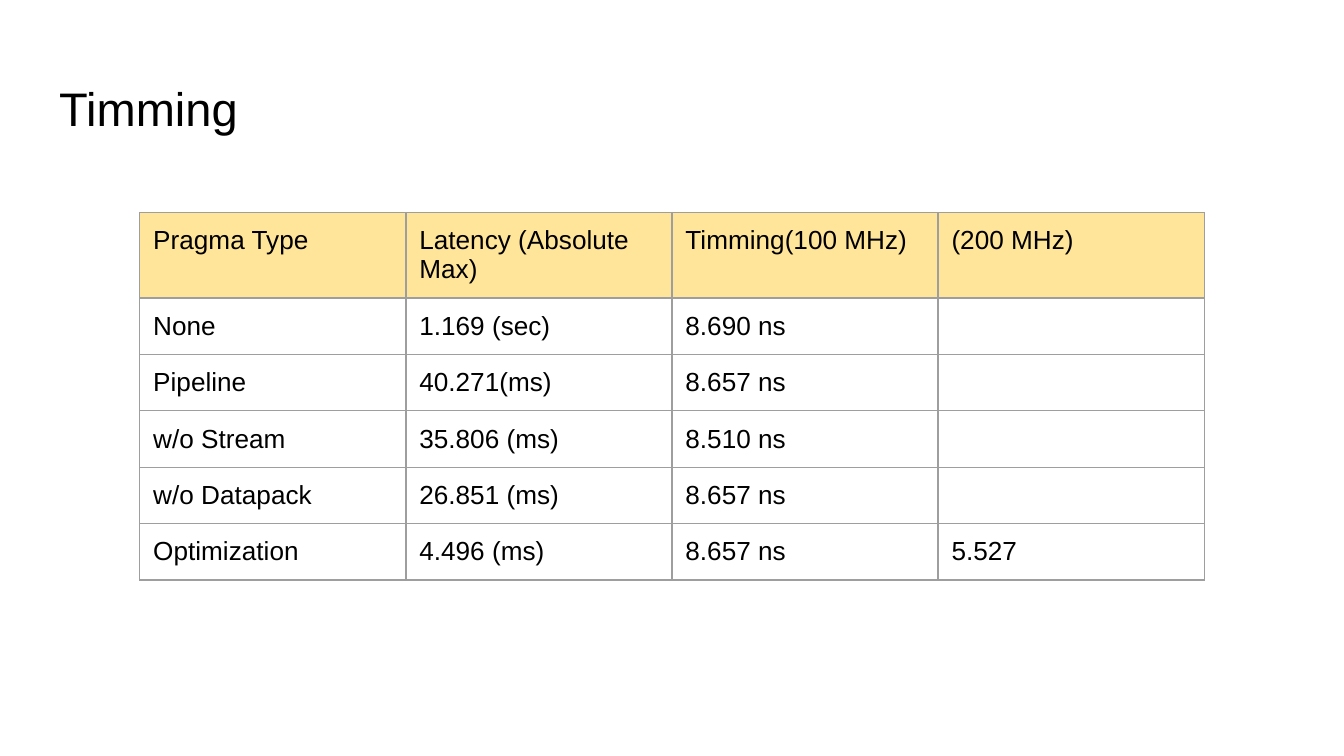
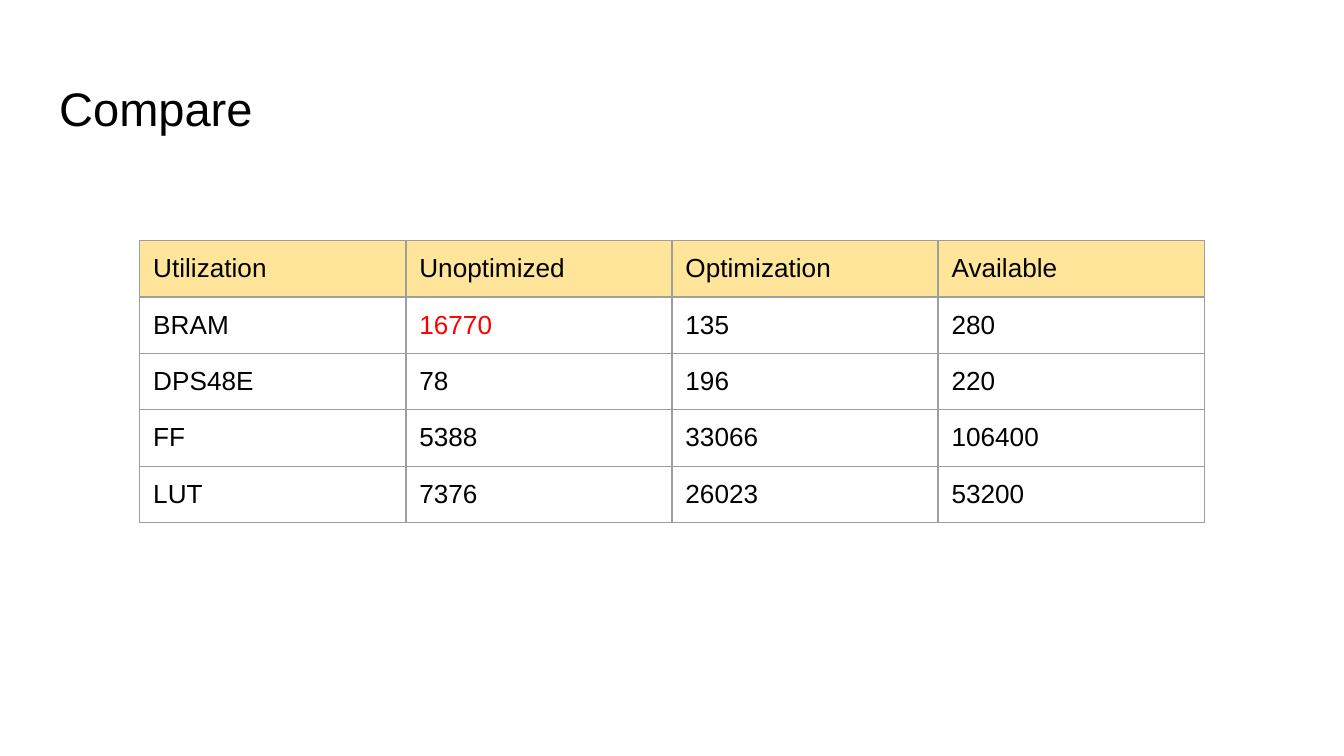
from lxml import etree
from pptx import Presentation
from pptx.dml.color import RGBColor
from pptx.enum.text import MSO_ANCHOR, MSO_AUTO_SIZE, PP_ALIGN
from pptx.oxml.ns import qn
from pptx.util import Inches, Pt

TOP, LEFT, NO_FIT = MSO_ANCHOR.TOP, PP_ALIGN.LEFT, MSO_AUTO_SIZE.NONE
BLACK = RGBColor(0x00, 0x00, 0x00)
RED = RGBColor(0xFF, 0x00, 0x00)
WHITE = RGBColor(0xFF, 0xFF, 0xFF)
HEADER_FILL = RGBColor(0xFF, 0xE5, 0x99)
GRID = RGBColor(0x9E, 0x9E, 0x9E)

SLIDE_WIDTH = Inches(10)
SLIDE_HEIGHT = SLIDE_WIDTH * 9 // 16
TITLE_ONLY = 5
TITLE_BOX = (0.34, 0.49, 9.32, 0.63)
ROW_HEIGHT = 0.42
INSET = Inches(0.1)
INSETS = {f"margin_{side}": INSET for side in ("left", "right", "top", "bottom")}
TITLE_FONT = {"name": "Arial", "size": Pt(25.2), "bold": False}
CELL_FONT = {"name": "Arial", "size": Pt(14), "bold": False}

TIMING_ROWS = [
    ("Pragma Type", "Latency (Absolute Max)", "Timming(100 MHz)", "(200 MHz)"),
    ("None", "1.169 (sec)", "8.690 ns", ""),
    ("Pipeline", "40.271(ms)", "8.657 ns", ""),
    ("w/o Stream", "35.806 (ms)", "8.510 ns", ""),
    ("w/o Datapack", "26.851 (ms)", "8.657 ns", ""),
    ("Optimization", "4.496 (ms)", "8.657 ns", "5.527"),
]
UTILIZATION_ROWS = [
    ("Utilization", "Unoptimized", "Optimization", "Available"),
    ("BRAM", "16770", "135", "280"),
    ("DPS48E", "78", "196", "220"),
    ("FF", "5388", "33066", "106400"),
    ("LUT", "7376", "26023", "53200"),
]


def apply_format(target, values):
    for attribute, value in values.items():
        setattr(target, attribute, value)


def add_title(slide, text, box):
    title = slide.shapes.title
    apply_format(title, dict(zip(("left", "top", "width", "height"), map(Inches, box))))
    frame = title.text_frame
    frame.text = text
    apply_format(frame, {**INSETS, "vertical_anchor": TOP, "word_wrap": True,
                         "auto_size": NO_FIT})
    paragraph = frame.paragraphs[0]
    apply_format(paragraph, {"alignment": LEFT, "line_spacing": 1.0})
    font = paragraph.runs[0].font
    apply_format(font, TITLE_FONT)
    font.color.rgb = BLACK


def draw_borders(cell):
    properties = cell._tc.get_or_add_tcPr()
    for edge in ("a:lnL", "a:lnR", "a:lnT", "a:lnB"):
        line = etree.SubElement(properties, qn(edge), w=str(Pt(0.75)))
        fill = etree.SubElement(line, qn("a:solidFill"))
        etree.SubElement(fill, qn("a:srgbClr"), val=str(GRID))


def set_empty_font(paragraph):
    size = str(int(CELL_FONT["size"].pt * 100))
    end = etree.SubElement(paragraph._p, qn("a:endParaRPr"), sz=size)
    etree.SubElement(end, qn("a:latin"), typeface=CELL_FONT["name"])


def fill_cell(cell, text, is_header, color):
    apply_format(cell, {**INSETS, "vertical_anchor": TOP})
    draw_borders(cell)
    if is_header:
        cell.fill.solid()
        cell.fill.fore_color.rgb = HEADER_FILL
    else:
        cell.fill.background()
    paragraph = cell.text_frame.paragraphs[0]
    if text:
        run = paragraph.add_run()
        run.text = text
        apply_format(run.font, CELL_FONT)
        run.font.color.rgb = color
    else:
        set_empty_font(paragraph)


def add_grid(slide, rows, box, highlights):
    left, top, width, height = map(Inches, box)
    frame = slide.shapes.add_table(len(rows), len(rows[0]), left, top, width, height)
    table = frame.table
    apply_format(table, {"first_row": False, "horz_banding": False})
    for row in table.rows:
        row.height = Inches(ROW_HEIGHT)
    frame.height = height
    for r, texts in enumerate(rows):
        for c, text in enumerate(texts):
            fill_cell(table.cell(r, c), text, r == 0, highlights.get((r, c), BLACK))


def add_table_slide(deck, title, rows, box, highlights):
    slide = deck.slides.add_slide(deck.slide_layouts[TITLE_ONLY])
    slide.background.fill.solid()
    slide.background.fill.fore_color.rgb = WHITE
    add_title(slide, title, TITLE_BOX)
    add_grid(slide, rows, box, highlights)


def main():
    deck = Presentation()
    apply_format(deck, {"slide_width": SLIDE_WIDTH, "slide_height": SLIDE_HEIGHT})
    add_table_slide(deck, "Timming", TIMING_ROWS, (1.04, 1.58, 7.92, 2.83), {})
    add_table_slide(deck, "Compare", UTILIZATION_ROWS, (1.04, 1.79, 7.92, 2.17),
                    {(1, 1): RED})
    deck.save("out.pptx")


if __name__ == "__main__":
    main()
